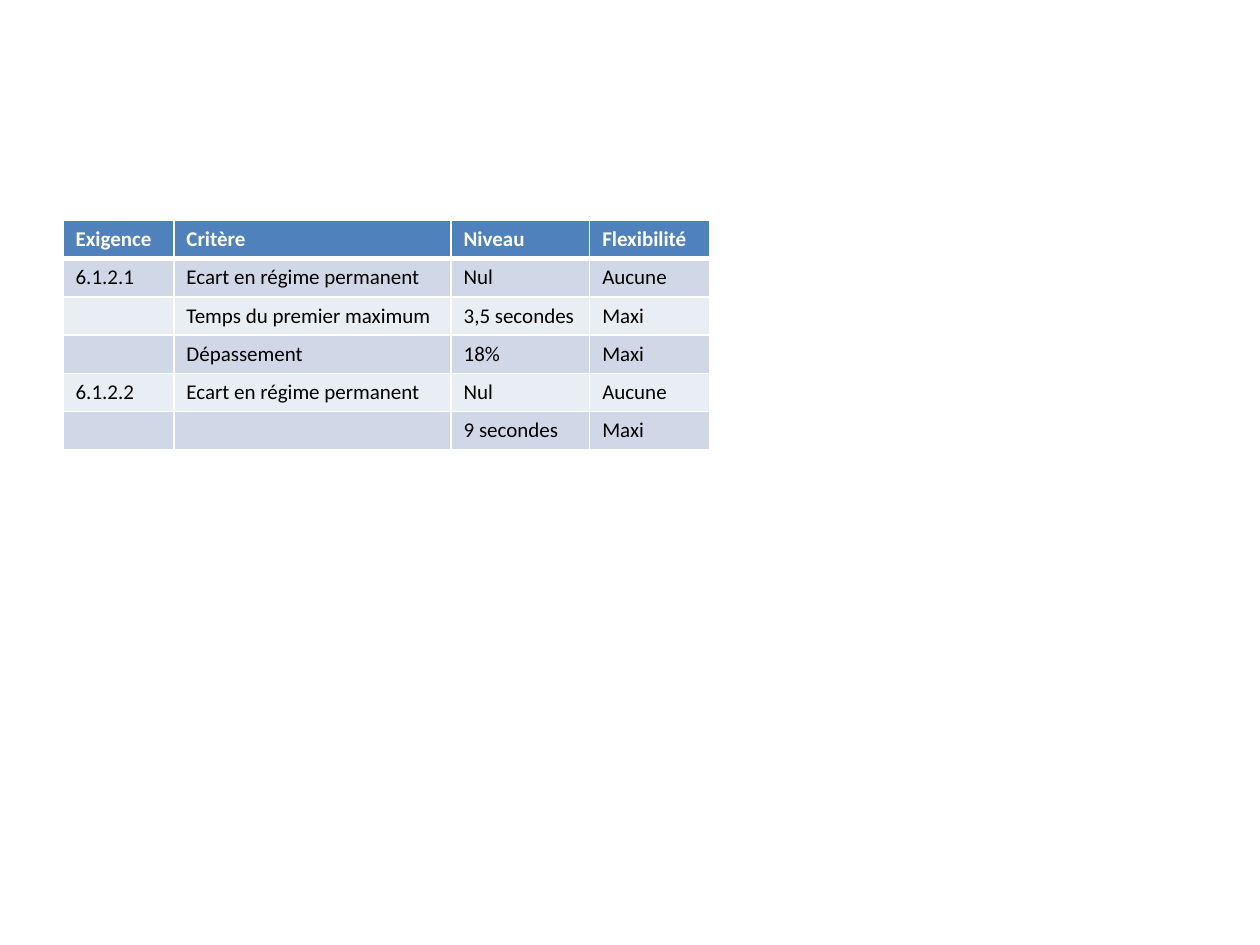
"""Build a slide with a table of requirements, criteria and levels."""
import pptx
import pptx.util
import pptx.dml.color
import pptx.oxml.ns
import lxml.etree

Inches, Pt = pptx.util.Inches, pptx.util.Pt
RGBColor = pptx.dml.color.RGBColor
qn = pptx.oxml.ns.qn

WHITE = RGBColor(0xFF, 0xFF, 0xFF)
BLACK = RGBColor(0, 0, 0)
HEADER = RGBColor(0x4F, 0x81, 0xBD)
BANDS = [RGBColor(0xE9, 0xED, 0xF4), RGBColor(0xD0, 0xD8, 0xE8)]
SIZE = 12


def write(cell, text, color=BLACK, bold=False):
    p = cell.text_frame.paragraphs[0]
    if not text:
        lxml.etree.SubElement(p._p, qn("a:endParaRPr"), sz=str(SIZE * 100))
        return
    r = p.add_run()
    r.text = text
    r.font.name = "Calibri"
    r.font.size = Pt(SIZE)
    r.font.bold = bold
    r.font.color.rgb = color


def border(cell, side, width):
    tcPr = cell._tc.get_or_add_tcPr()
    ln = lxml.etree.SubElement(tcPr, qn("a:ln" + side), w=str(Pt(width)))
    fill = lxml.etree.SubElement(ln, qn("a:solidFill"))
    lxml.etree.SubElement(fill, qn("a:srgbClr"), val=str(WHITE))


rows = [
    ["Exigence", "Critère", "Niveau", "Flexibilité"],
    ["6.1.2.1", "Ecart en régime permanent", "Nul", "Aucune"],
    ["", "Temps du premier maximum", "3,5 secondes", "Maxi"],
    ["", "Dépassement", "18%", "Maxi"],
    ["6.1.2.2", "Ecart en régime permanent", "Nul", "Aucune"],
    ["", "", "9 secondes", "Maxi"],
]
widths = [0.88, 2.2, 1.1, 0.95]
row_height = 0.3

prs = pptx.Presentation()
prs.slide_width, prs.slide_height = Inches(10), Inches(7.5)
s = prs.slides.add_slide(prs.slide_layouts[6])

table = s.shapes.add_table(
    len(rows), len(widths), Inches(0.5), Inches(1.75),
    Inches(sum(widths)), Inches(row_height * len(rows))).table
for column, width in zip(table.columns, widths):
    column.width = Inches(width)

for i, row in enumerate(rows):
    table.rows[i].height = Inches(row_height)
    header = i == 0
    for j, text in enumerate(row):
        cell = table.cell(i, j)
        write(cell, text, color=WHITE if header else BLACK, bold=header)
        for side in "LRTB":
            under_header = (i, side) in [(0, "B"), (1, "T")]
            border(cell, side, 3 if under_header else 1)
        cell.fill.solid()
        cell.fill.fore_color.rgb = HEADER if header else BANDS[i % 2]

prs.save("out.pptx")
